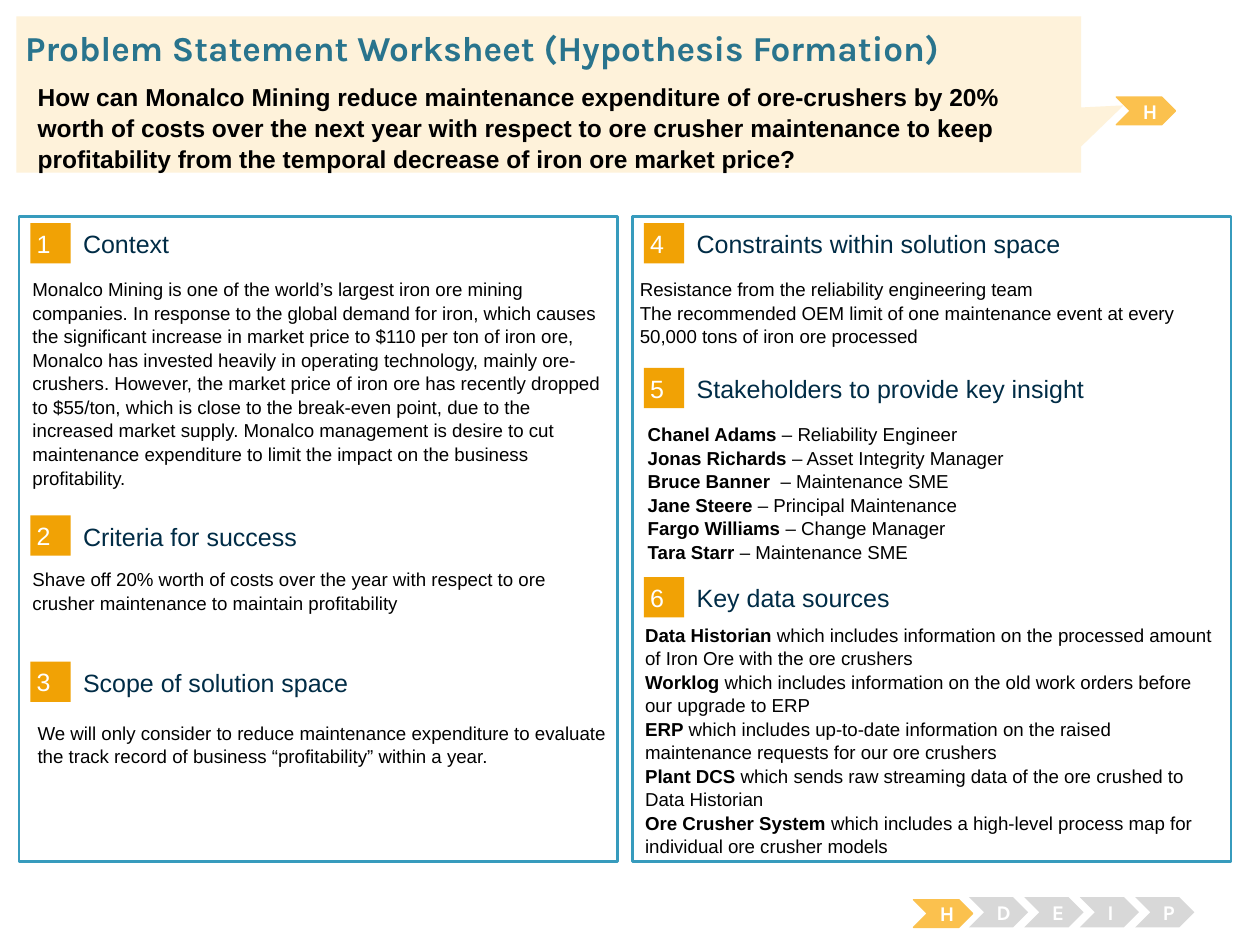
from dataclasses import dataclass
from typing import Optional

from lxml import etree
from pptx import Presentation
from pptx.dml.color import RGBColor
from pptx.enum.shapes import MSO_SHAPE
from pptx.enum.text import MSO_ANCHOR, MSO_AUTO_SIZE, PP_ALIGN
from pptx.oxml.ns import qn
from pptx.util import Inches, Pt

RECTANGLE = MSO_SHAPE.RECTANGLE
CHEVRON = MSO_SHAPE.CHEVRON
CALLOUT = MSO_SHAPE.RECTANGULAR_CALLOUT
TOP, MIDDLE = MSO_ANCHOR.TOP, MSO_ANCHOR.MIDDLE
LEFT, CENTER = PP_ALIGN.LEFT, PP_ALIGN.CENTER
NO_AUTOFIT = MSO_AUTO_SIZE.NONE

COLORS = {
    "white": "FFFFFF", "black": "000000", "panel_line": "379BBD",
    "number": "F1A205", "heading": "002C46", "title": "29748D",
    "banner": "FEF2DA", "active": "FBC14E", "inactive": "D8D8D8",
}
COLUMNS = (0.15, 5.02)
PANEL_TOP, PANEL_WIDTH, PANEL_HEIGHT = 1.72, 4.75, 5.12
TEXT_WIDTH = 4.73
BODY_INSETS = (0.1, 0.05)
LINE_SPACING = 1.05
STAGES = "HDEIP"
STAGE_LEFT, STAGE_STEP, STAGE_BOTTOM = 7.25, 0.44, 7.36


@dataclass
class Style:
    """Look of a block of text."""
    size: float
    color: str
    font: str = "Arial"
    bold: Optional[bool] = None
    align: PP_ALIGN = LEFT
    anchor: MSO_ANCHOR = TOP
    insets: tuple[float, float] = (0, 0)
    spacing: float = 1.0


@dataclass
class Section:
    """Numbered section; each entry is a bold lead and its plain remainder."""
    number: int
    heading: str
    column: int
    top: float
    text_box: tuple[float, float, float]  # left, top, height
    entries: list[tuple[str, str]]
    placeholder: Optional[int] = None


TITLE = Style(20, "title", "Karla", True)
QUESTION = Style(14, "black", bold=True, insets=BODY_INSETS, spacing=LINE_SPACING)
BODY = Style(10.7, "black", insets=BODY_INSETS, spacing=LINE_SPACING)
HEADING = Style(14.3, "heading", anchor=MIDDLE)
NUMBER = Style(14.3, "white", anchor=MIDDLE, insets=(0.05, 0.05))
STAGE = Style(12, "white", "Karla", True, CENTER, MIDDLE, BODY_INSETS)

SECTIONS = [
    Section(1, "Context", 0, 1.77, (0.16, 2.15, 1.69), [
        ("", "Monalco Mining is one of the world’s largest iron ore mining companies. "
             "In response to the global demand for iron, which causes the significant "
             "increase in market price to $110 per ton of iron ore, Monalco has invested "
             "heavily in operating technology, mainly ore-crushers. However, the market "
             "price of iron ore has recently dropped to $55/ton, which is close to the "
             "break-even point, due to the increased market supply. Monalco management is "
             "desire to cut maintenance expenditure to limit the impact on the business "
             "profitability.")]),
    Section(2, "Criteria for success", 0, 4.09, (0.16, 4.45, 0.95), [
        ("", "Shave off 20% worth of costs over the year with respect to ore crusher "
             "maintenance to maintain profitability")]),
    Section(3, "Scope of solution space", 0, 5.25, (0.2, 5.67, 0.82), [
        ("", "We will only consider to reduce maintenance expenditure to evaluate the "
             "track record of business “profitability” within a year.")]),
    Section(4, "Constraints within solution space", 1, 1.77, (4.98, 2.15, 0.82), [
        ("", "Resistance from the reliability engineering team"),
        ("", "The recommended OEM limit of one maintenance event at every 50,000 tons "
             "of iron ore processed")]),
    Section(5, "Stakeholders to provide key insight", 1, 2.92, (5.04, 3.3, 1.18), [
        ("Chanel Adams", " – Reliability Engineer"),
        ("Jonas Richards ", "– Asset Integrity Manager"),
        ("Bruce Banner  ", "– Maintenance SME"),
        ("Jane Steere ", "– Principal Maintenance"),
        ("Fargo Williams", " – Change Manager"),
        ("Tara Starr ", "– Maintenance SME")], placeholder=1),
    Section(6, "Key data sources", 1, 4.58, (5.02, 4.89, 1.95), [
        ("Data Historian", " which includes information on the processed amount of Iron "
                           "Ore with the ore crushers"),
        ("Worklog", " which includes information on the old work orders before our "
                    "upgrade to ERP"),
        ("ERP", " which includes up-to-date information on the raised maintenance "
                "requests for our ore crushers"),
        ("Plant DCS", " which sends raw streaming data of the ore crushed to Data Historian"),
        ("Ore Crusher System", " which includes a high-level process map for individual "
                               "ore crusher models")], placeholder=2),
]


def rgb(name: str) -> RGBColor:
    """Return a named colour."""
    return RGBColor.from_string(COLORS[name])


def write(shape, entries: list[tuple[str, str]], style: Style) -> None:
    """Fill a shape with one paragraph per entry."""
    frame = shape.text_frame
    frame.word_wrap = True
    frame.auto_size = NO_AUTOFIT
    frame.vertical_anchor = style.anchor
    frame.margin_left = frame.margin_right = Inches(style.insets[0])
    frame.margin_top = frame.margin_bottom = Inches(style.insets[1])
    for index, (lead, rest) in enumerate(entries):
        paragraph = frame.paragraphs[0] if index == 0 else frame.add_paragraph()
        paragraph.alignment = style.align
        paragraph.line_spacing = style.spacing
        paragraph.space_before = paragraph.space_after = Pt(0)
        font = paragraph.font
        font.size, font.name, font.bold = Pt(style.size), style.font, style.bold
        font.color.rgb = rgb(style.color)
        if lead:
            lead_run = paragraph.add_run()
            lead_run.text = lead
            lead_run.font.bold = True
        paragraph.add_run().text = rest


def add_text(slide, box: tuple, entries: list[tuple[str, str]], style: Style) -> None:
    """Add a text box; box is left, top, width, height in inches."""
    write(slide.shapes.add_textbox(*map(Inches, box)), entries, style)


def fill_placeholder(slide, index: int, box: tuple, entries: list, style: Style) -> None:
    """Move a placeholder to the front, place it and write unbulleted text."""
    holder = slide.placeholders[index]
    slide.shapes._spTree.append(holder._element)
    holder.left, holder.top, holder.width, holder.height = map(Inches, box)
    write(holder, entries, style)
    for paragraph in holder.text_frame.paragraphs:
        properties = paragraph._p.get_or_add_pPr()
        properties.set("marL", "0")
        properties.set("indent", "0")
        bullet = etree.Element(qn("a:buNone"))
        properties.insert_element_before(bullet, "a:tabLst", "a:defRPr", "a:extLst")


def add_figure(slide, kind: MSO_SHAPE, box: tuple, fill: str,
               line: Optional[str] = None, line_width: float = 0.75):
    """Add a flat preset shape with an optional outline."""
    figure = slide.shapes.add_shape(kind, *map(Inches, box))
    figure.shadow.inherit = False
    figure.fill.solid()
    figure.fill.fore_color.rgb = rgb(fill)
    if line:
        figure.line.color.rgb = rgb(line)
        figure.line.width = Pt(line_width)
    else:
        figure.line.fill.background()
    return figure


def add_stage(slide, letter: str, left: float, bottom: float, active: bool) -> None:
    """Add one chevron of the stage tracker."""
    height = 0.22 if active else 0.24
    box = (left, bottom - height, 0.47, height)
    chevron = add_figure(slide, CHEVRON, box, "active" if active else "inactive",
                         "active" if active else None)
    write(chevron, [("", letter)], STAGE)


def add_section(slide, section: Section) -> None:
    """Add the number, heading and text of a section."""
    column_left = COLUMNS[section.column]
    number = add_figure(slide, RECTANGLE, (column_left + 0.09, section.top, 0.32, 0.32), "number")
    write(number, [("", str(section.number))], NUMBER)
    add_text(slide, (column_left + 0.51, section.top + 0.04, 3.93, 0.25),
             [("", section.heading)], HEADING)
    left, top, height = section.text_box
    box = (left, top, TEXT_WIDTH, height)
    if section.placeholder is None:
        add_text(slide, box, section.entries, BODY)
    else:
        fill_placeholder(slide, section.placeholder, box, section.entries, BODY)


def main() -> None:
    """Build and save the worksheet."""
    deck = Presentation()
    deck.slide_width, deck.slide_height = Inches(10), Inches(7.5)
    slide = deck.slides.add_slide(deck.slide_layouts.get_by_name("Two Content"))
    for left in COLUMNS:
        add_figure(slide, RECTANGLE, (left, PANEL_TOP, PANEL_WIDTH, PANEL_HEIGHT),
                   "white", "panel_line", 1.5)
    for section in SECTIONS:
        add_section(slide, section)
    for index, letter in enumerate(STAGES):
        add_stage(slide, letter, STAGE_LEFT + index * STAGE_STEP, STAGE_BOTTOM, index == 0)
    add_stage(slide, STAGES[0], 8.86, 0.99, True)
    banner = add_figure(slide, CALLOUT, (0.13, 0.13, 8.45, 1.24), "banner")
    banner.adjustments[0], banner.adjustments[1] = 0.54, 0.07
    fill_placeholder(slide, 0, (0.2, 0.21, 9.62, 0.34),
                     [("", "Problem Statement Worksheet (Hypothesis Formation)")], TITLE)
    add_text(slide, (0.2, 0.59, 8.38, 0.82), [
        ("", "How can Monalco Mining reduce maintenance expenditure of ore-crushers by 20% "
             "worth of costs over the next year with respect to ore crusher maintenance to "
             "keep profitability from the temporal decrease of iron ore market price?")],
        QUESTION)
    deck.save("out.pptx")


main()
